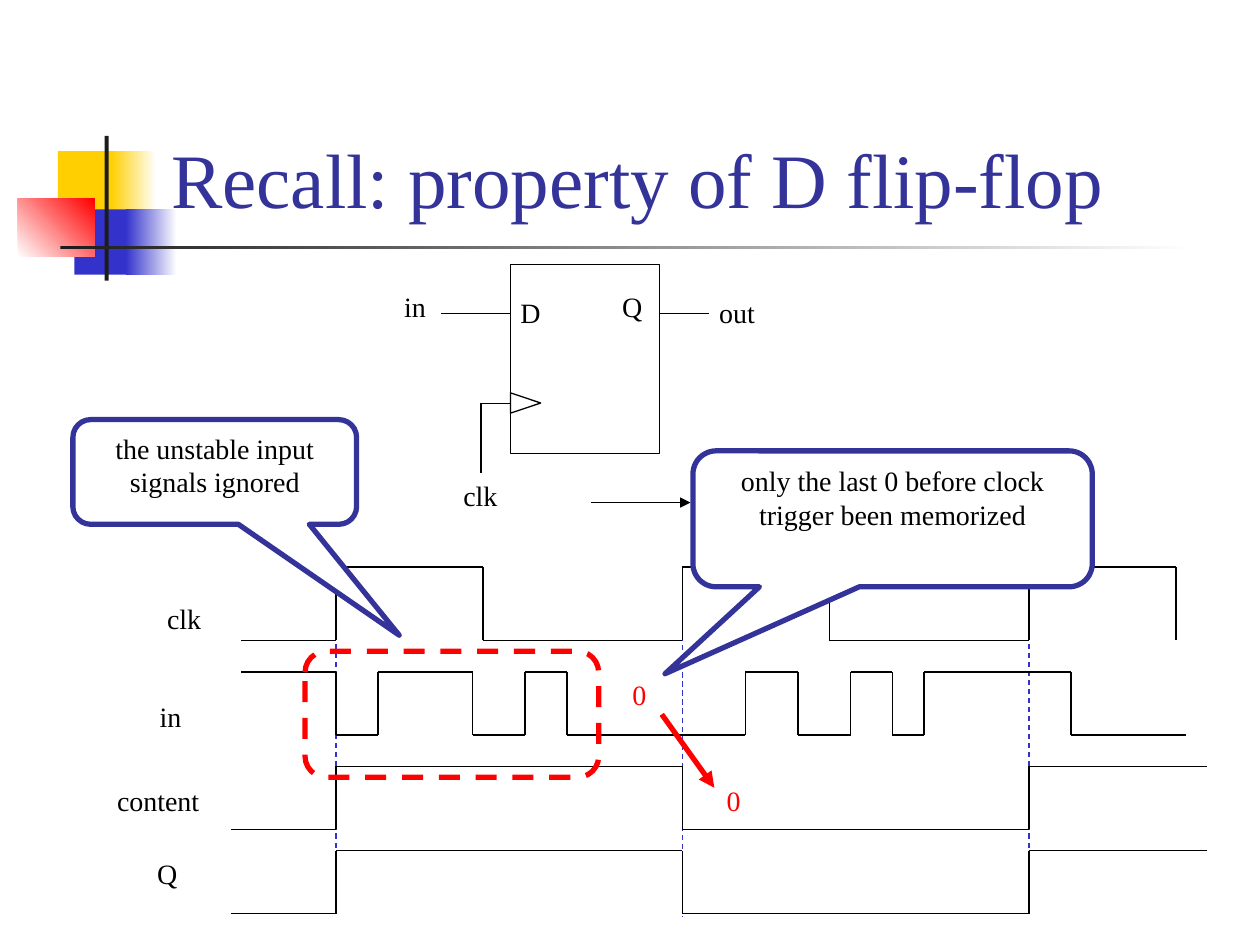
import pptx
import pptx.util
import pptx.dml.color
import pptx.enum.dml
import pptx.enum.shapes
import pptx.enum.text
import pptx.oxml.ns
import lxml.etree
from pptx.util import Cm

COLOURS = {
    "black": "000000", "white": "FFFFFF", "red": "FF0000", "yellow": "FFCF01",
    "blue": "3333CC", "navy": "333399", "charcoal": "1C1C1C",
}
FONT = "Times New Roman"
SHAPES = pptx.enum.shapes.MSO_SHAPE
ALIGN = pptx.enum.text.PP_ALIGN
ANCHOR = pptx.enum.text.MSO_ANCHOR
DASH = pptx.enum.dml.MSO_LINE.DASH
GRID = 2.54 / 12
CLOCK_EDGES = [32, 65, 98]


def rgb(name):
    """Return the named colour."""
    return pptx.dml.color.RGBColor.from_string(COLOURS[name])


def format_text(frame, size, colour, align):
    """Format every paragraph of a text frame."""
    for para in frame.paragraphs:
        para.alignment = align
        for span in para.runs:
            span.font.name = FONT
            span.font.size = pptx.util.Pt(size)
            span.font.color.rgb = rgb(colour)


def set_line(line, colour, width, dashed=False):
    """Set colour, width and dash of a line."""
    line.color.rgb = rgb(colour)
    line.width = pptx.util.Pt(width)
    if dashed:
        line.dash_style = DASH


def add_title(page, text):
    """Fill and place the title placeholder."""
    title = page.shapes.title
    title.left, title.top, title.width, title.height = Cm(3.2), Cm(0.58), Cm(21.64), Cm(4.06)
    frame = title.text_frame
    frame.text = text
    frame.auto_size = pptx.enum.text.MSO_AUTO_SIZE.NONE
    frame.vertical_anchor = ANCHOR.BOTTOM
    format_text(frame, 44, "navy", ALIGN.LEFT)


def add_outline(page, kind, bounds, colour="black", width=0.75, dashed=False):
    """Add an unfilled preset shape with an outline."""
    shape = page.shapes.add_shape(kind, *map(Cm, bounds))
    shape.shadow.inherit = False
    shape.fill.background()
    set_line(shape.line, colour, width, dashed)
    return shape


def add_block(page, bounds, start, end=None, angle=0):
    """Add a borderless rectangle, solid or fading from start to end."""
    block = page.shapes.add_shape(SHAPES.RECTANGLE, *map(Cm, bounds))
    block.shadow.inherit = False
    block.line.fill.background()
    if end is None:
        block.fill.solid()
        block.fill.fore_color.rgb = rgb(start)
        return
    block.fill.gradient()
    block.fill.gradient_angle = angle
    for stop, colour in zip(block.fill.gradient_stops, (start, end)):
        stop.color.rgb = rgb(colour)


def add_label(page, text, left, top, width, colour="black"):
    """Add a one-line label."""
    box = page.shapes.add_textbox(Cm(left), Cm(top), Cm(width), Cm(0.94))
    box.text_frame.text = text
    box.text_frame.word_wrap = False
    format_text(box.text_frame, 16, colour, ALIGN.LEFT)


def add_line(page, start, end, colour="black", width=0.75, dashed=False, arrow=False):
    """Add a straight line, with an arrowhead at its end if wanted."""
    line = page.shapes.add_connector(
        pptx.enum.shapes.MSO_CONNECTOR.STRAIGHT, *map(Cm, (*start, *end)))
    set_line(line.line, colour, width, dashed)
    qn = pptx.oxml.ns.qn
    if arrow:
        lxml.etree.SubElement(line.line._get_or_add_ln(), qn("a:tailEnd"), type="triangle")
    lxml.etree.SubElement(line._element.spPr, qn("a:effectLst"))


def add_wave(page, edges, high, low, is_high=False, end=None):
    """Draw a signal that toggles at each inner edge, in grid units."""
    level, other = (high, low) if is_high else (low, high)
    points = [(edges[0], level)]
    for edge in edges[1:]:
        points += [(edge, level), (edge, other)]
        level, other = other, level
    if end is not None:
        points.append((end, level))
    for start, stop in zip(points, points[1:]):
        add_line(page, [n * GRID for n in start], [n * GRID for n in stop])


def add_callout(page, text, bounds, tip):
    """Add a rounded speech callout whose tip is an offset from its centre."""
    callout = add_outline(page, SHAPES.ROUNDED_RECTANGULAR_CALLOUT, bounds, "navy", 3)
    callout.fill.solid()
    callout.fill.fore_color.rgb = rgb("white")
    for index, value in enumerate((*tip, 0.17)):
        callout.adjustments[index] = value
    frame = callout.text_frame
    frame.text = text
    frame.word_wrap = True
    frame.vertical_anchor = ANCHOR.TOP
    format_text(frame, 16, "black", ALIGN.CENTER)


def add_decoration(page):
    """Draw the coloured blocks and rules beside the title."""
    add_block(page, (1.17, 3.05, 1.22, 1.32), "yellow")
    add_block(page, (2.24, 3.05, 0.91, 1.32), "yellow", "white")
    add_block(page, (1.5, 4.22, 1.17, 1.32), "blue")
    add_block(page, (2.54, 4.22, 1.02, 1.32), "blue", "white")
    add_block(page, (0.36, 4.01, 1.55, 1.17), "white", "red", 45)
    add_block(page, (2.11, 2.74, 0.08, 2.92), "charcoal")
    add_block(page, (1.22, 4.95, 22.86, 0.08), "charcoal", "white")


def add_flip_flop(page):
    """Draw the flip-flop symbol with its pins."""
    add_outline(page, SHAPES.RECTANGLE, (10.29, 5.33, 3, 3.81))
    add_outline(page, SHAPES.ISOSCELES_TRIANGLE, (10.39, 7.82, 0.41, 0.61)).rotation = 90
    add_line(page, (13.29, 6.32), (14.3, 6.32))
    add_line(page, (10.29, 6.32), (8.89, 6.32))
    add_line(page, (10.29, 8.13), (9.7, 8.13))
    add_line(page, (9.7, 8.13), (9.7, 9.53))
    for label in [("D", 10.24, 5.84, 0.91), ("Q", 12.29, 5.72, 0.91), ("in", 7.9, 5.72, 0.94),
                  ("out", 14.25, 5.84, 1.24), ("clk", 9.09, 9.53, 1.19)]:
        add_label(page, *label)


def add_timing(page):
    """Draw the timing diagram."""
    for label in [("clk", 3.12, 12.01, 1.19), ("in", 2.97, 13.97, 0.97),
                  ("content", 2.11, 15.67, 2.18), ("Q", 2.92, 17.15, 0.91)]:
        add_label(page, *label)
    add_line(page, (11.91, 10.13), (13.92, 10.13), arrow=True)
    for edge, top in zip(CLOCK_EDGES, (12.07, 12.28, 12.07)):
        add_line(page, (edge * GRID, top), (edge * GRID, top + 6.2), "blue", dashed=True)
    add_wave(page, [23, 32, 46, 65, 79, 98, 112], 54, 61)
    add_wave(page, [23, 32, 36, 45, 50, 54, 71, 76, 81, 85, 88, 102], 64, 70, True, 113)
    for high in (73, 81):
        add_wave(page, [22, *CLOCK_EDGES], high, high + 6, end=115)


def main():
    """Build and save the slide."""
    deck = pptx.Presentation()
    deck.slide_width, deck.slide_height = Cm(25.4), Cm(19.05)
    page = deck.slides.add_slide(deck.slide_layouts[5])
    add_decoration(page)
    add_title(page, "Recall: property of D flip-flop")
    add_flip_flop(page)
    add_timing(page)
    add_label(page, "0", 12.5, 13.54, 0.79, "red")
    add_label(page, "0", 14.4, 15.67, 0.79, "red")
    add_line(page, (13.34, 14.4), (14.4, 15.88), "red", 3, arrow=True)
    add_callout(page, "only the last 0 before clock trigger been memorized",
                (13.97, 9.09, 8.05, 2.74), (-0.57, 1.14))
    add_outline(page, SHAPES.ROUNDED_RECTANGLE, (6.15, 13.13, 5.92, 2.54), "red", 3, True)
    add_callout(page, "the unstable input signals ignored",
                (1.47, 8.46, 5.72, 2.11), (0.65, 1.56))
    deck.save("out.pptx")


if __name__ == "__main__":
    main()
